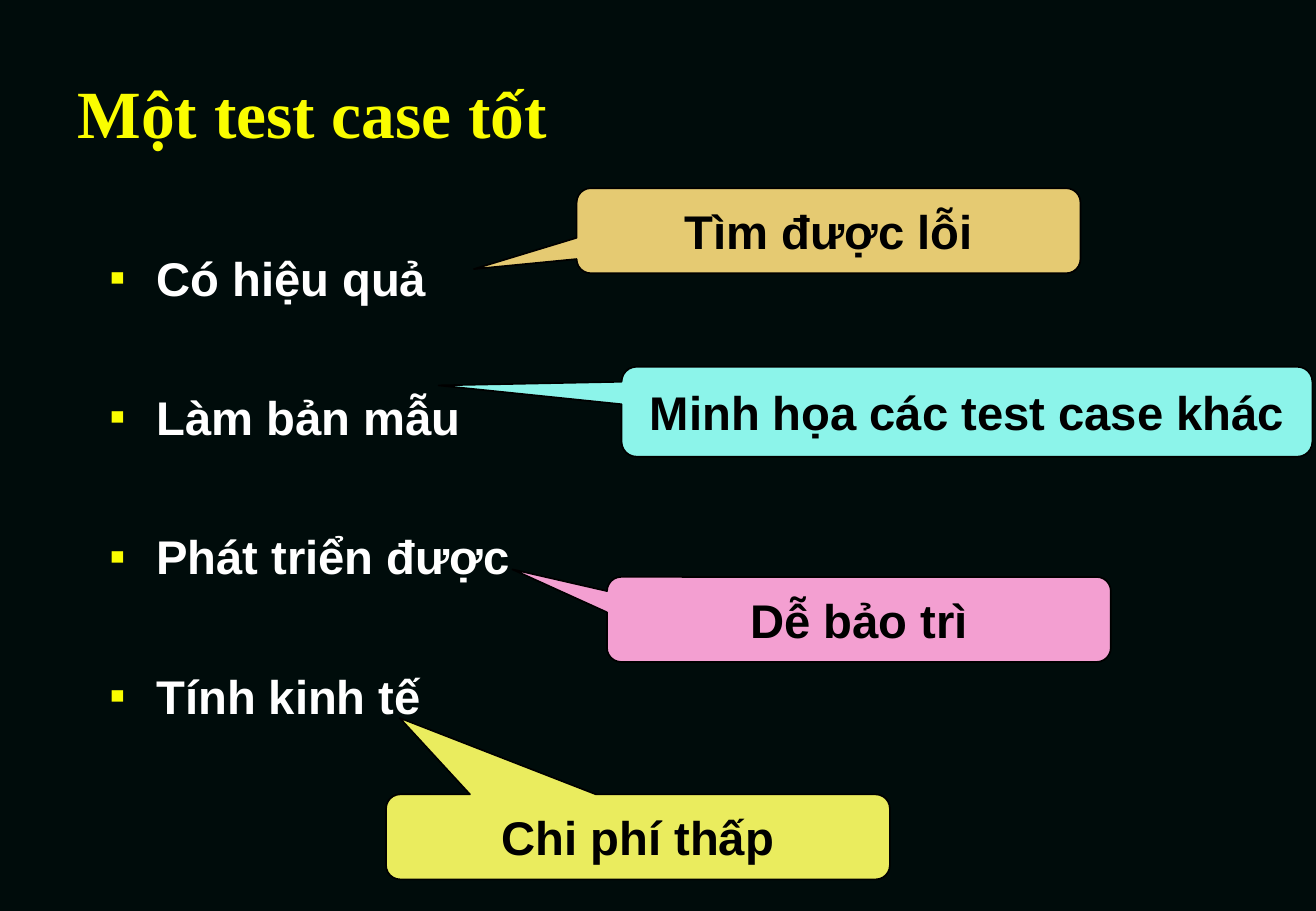
from lxml.etree import SubElement
from pptx import Presentation
from pptx.dml.color import RGBColor
from pptx.enum.shapes import MSO_SHAPE
from pptx.enum.text import MSO_ANCHOR, PP_ALIGN
from pptx.oxml.ns import qn
from pptx.util import Inches, Pt

WIDTH, HEIGHT = 10.84, 7.5
COLORS = {
    "background": "000C0B",
    "title": "FAFD00",
    "body": "FFFFFF",
    "black": "000000",
    "sand": "E5CA72",
    "aqua": "8CF4EA",
    "pink": "F39FD1",
    "lemon": "EAEC5E",
}
TITLE = "Một test case tốt"
TITLE_BOX = (0.54, 0.58, 9.21, 0.67)
QUALITIES = ["Có hiệu quả", "Làm bản mẫu", "Phát triển được", "Tính kinh tế"]
QUALITIES_BOX = (0.81, 2, 9.21, 4.67)
QUALITY_GAP = 49
BULLET_INDENT = 0.38
CALLOUT_SIZE = (4.15, 0.7)
WIDE_CALLOUT_SIZE = (5.69, 0.74)
CALLOUTS = [
    ("Tìm được lỗi", "sand", (4.75, 1.55), CALLOUT_SIZE, (-0.704, 0.451)),
    ("Minh họa các test case khác", "aqua", (5.12, 3.02), WIDE_CALLOUT_SIZE, (-0.765, -0.293)),
    ("Dễ bảo trì", "pink", (5, 4.75), CALLOUT_SIZE, (-0.688, -0.589)),
    ("Chi phí thấp", "lemon", (3.18, 6.54), CALLOUT_SIZE, (-0.473, -1.399)),
]
CORNER = 0.167
TITLE_FONT = {"name": "Times New Roman", "size": Pt(40), "bold": True}
TEXT_FONT = {"name": "Arial", "size": Pt(28), "bold": True}


def color(name):
    return RGBColor.from_string(COLORS[name])


def write(paragraph, text, font_values, color_name):
    run = paragraph.add_run()
    run.text = text
    for attribute, value in font_values.items():
        setattr(run.font, attribute, value)
    run.font.color.rgb = color(color_name)


def add_text_frame(slide, box):
    frame = slide.shapes.add_textbox(*map(Inches, box)).text_frame
    frame.word_wrap = True
    return frame


def add_bullet(paragraph):
    properties = paragraph._p.get_or_add_pPr()
    properties.set("marL", str(Inches(BULLET_INDENT)))
    properties.set("indent", str(-Inches(BULLET_INDENT)))
    bullet_color = SubElement(properties, qn("a:buClr"))
    SubElement(bullet_color, qn("a:srgbClr"), val=COLORS["title"])
    SubElement(properties, qn("a:buSzPct"), val="50000")
    SubElement(properties, qn("a:buFont"), typeface="Arial")
    SubElement(properties, qn("a:buChar"), char="■")


def add_title(slide):
    frame = add_text_frame(slide, TITLE_BOX)
    frame.vertical_anchor = MSO_ANCHOR.MIDDLE
    write(frame.paragraphs[0], TITLE, TITLE_FONT, "title")


def add_qualities(slide):
    frame = add_text_frame(slide, QUALITIES_BOX)
    for index, quality in enumerate(QUALITIES):
        paragraph = frame.add_paragraph() if index else frame.paragraphs[0]
        paragraph.space_before = Pt(QUALITY_GAP if index else 7)
        add_bullet(paragraph)
        write(paragraph, quality, TEXT_FONT, "body")


def add_callout(slide, text, fill, corner, size, tail):
    shape = slide.shapes.add_shape(
        MSO_SHAPE.ROUNDED_RECTANGULAR_CALLOUT, *map(Inches, corner + size)
    )
    for index, value in enumerate(tail + (CORNER,)):
        shape.adjustments[index] = value
    shape.shadow.inherit = False
    shape.fill.solid()
    shape.fill.fore_color.rgb = color(fill)
    shape.line.color.rgb = color("black")
    shape.line.width = Pt(1)
    frame = shape.text_frame
    frame.word_wrap = False
    frame.vertical_anchor = MSO_ANCHOR.MIDDLE
    frame.paragraphs[0].alignment = PP_ALIGN.CENTER
    write(frame.paragraphs[0], text, TEXT_FONT, "black")


def main():
    presentation = Presentation()
    presentation.slide_width = Inches(WIDTH)
    presentation.slide_height = Inches(HEIGHT)
    slide = presentation.slides.add_slide(presentation.slide_layouts[6])
    slide.background.fill.solid()
    slide.background.fill.fore_color.rgb = color("background")
    add_title(slide)
    add_qualities(slide)
    for callout in CALLOUTS:
        add_callout(slide, *callout)
    presentation.save("out.pptx")


if __name__ == "__main__":
    main()
